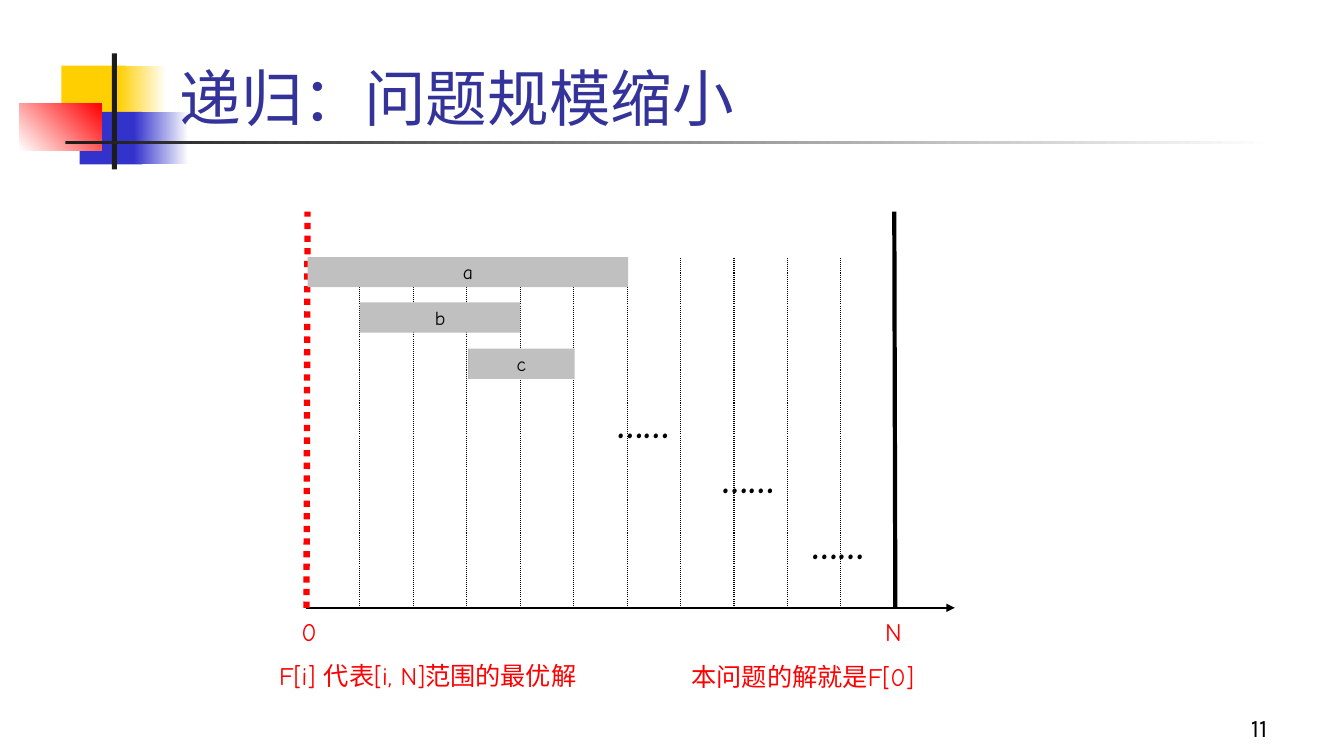
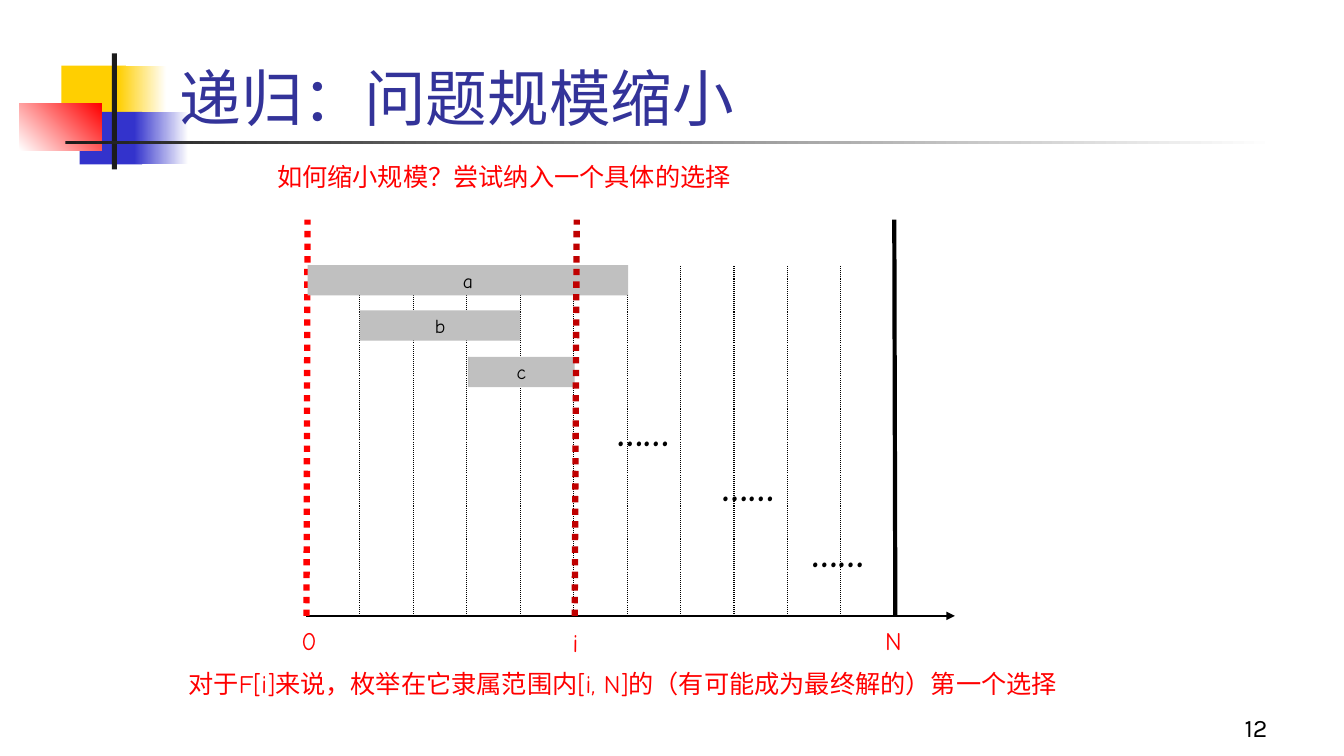
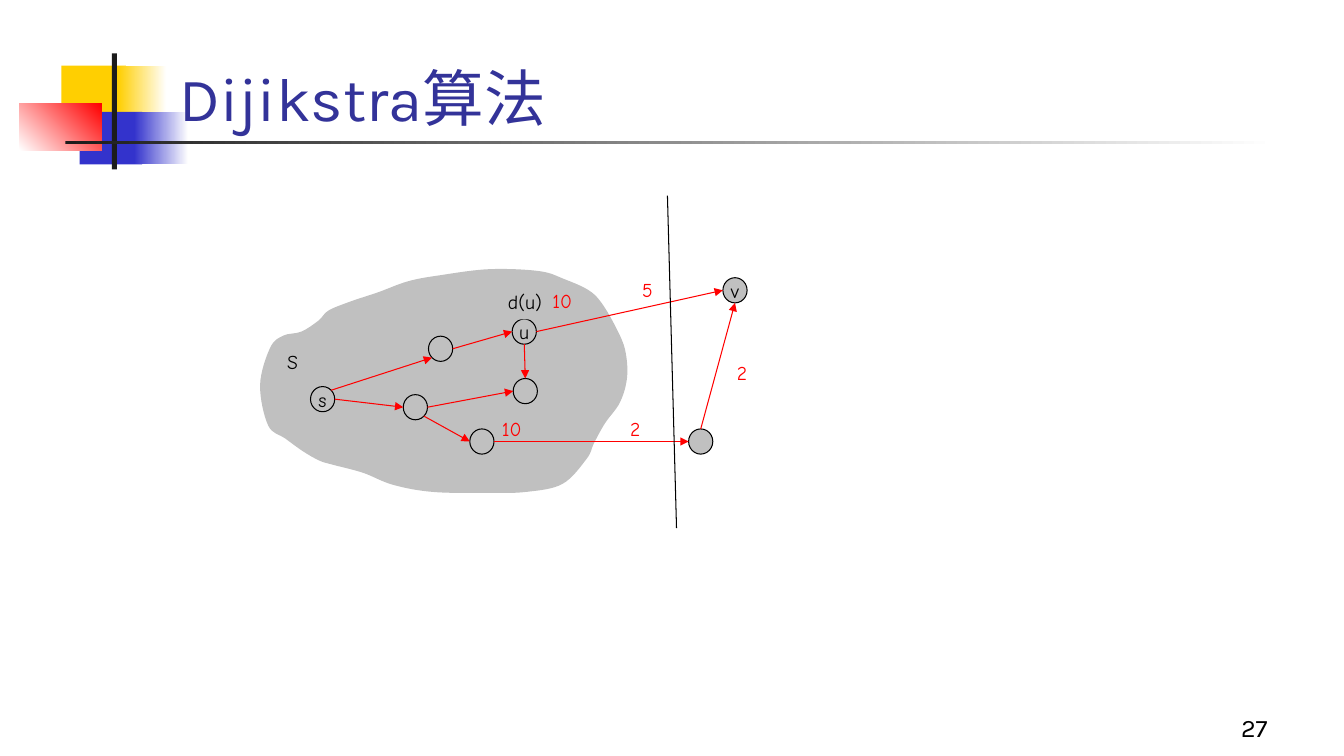
from dataclasses import dataclass
from math import cos, radians, sin

from pptx import Presentation
from pptx.dml.color import RGBColor
from pptx.enum.dml import MSO_LINE
from pptx.enum.shapes import MSO_CONNECTOR, MSO_SHAPE
from pptx.enum.text import MSO_ANCHOR, MSO_AUTO_SIZE, PP_ALIGN
from pptx.oxml.ns import qn
from pptx.util import Inches, Pt
from lxml.etree import SubElement


@dataclass(frozen=True)
class Theme:
    ink: str = "000000"
    white: str = "FFFFFF"
    dark: str = "1C1C1C"
    gold: str = "FFCF01"
    blue: str = "3333CC"
    navy: str = "333399"
    red: str = "FF0000"
    wine: str = "C00000"
    gray: str = "C0C0C0"
    head: str = "Karla"
    body: str = "Comic Neue"
    title: int = 44
    dots: int = 28
    note: int = 18
    label: int = 14
    thin: float = 0.75


T = Theme()

# Title band: left, top, width, height, colours, angle
BAND = [
    (0.61, 0.65, 0.64, 0.52, [T.gold], 0),
    (1.17, 0.65, 0.48, 0.52, [T.gold, T.white], 0),
    (0.79, 1.11, 0.62, 0.52, [T.blue], 0),
    (1.33, 1.11, 0.54, 0.52, [T.blue, T.white], 0),
    (0.19, 1.03, 0.82, 0.46, [T.white, T.red], 45),
    (1.11, 0.53, 0.05, 1.15, [T.dark], 0),
    (0.65, 1.4, 12, 0.03, [T.dark, T.white], 0),
]

# Outline of the set S, joined by a smooth curve
CLOUD = [
    (2.99, 3.29), (3.16, 3.18), (3.26, 3.08), (3.48, 2.99), (3.75, 2.9),
    (4.05, 2.79), (4.37, 2.73), (4.86, 2.67), (5.35, 2.69), (5.6, 2.77),
    (5.84, 2.88), (5.97, 3.01), (6.11, 3.25), (6.2, 3.47), (6.22, 3.74),
    (6.15, 3.99), (6, 4.2), (5.89, 4.4), (5.82, 4.55), (5.58, 4.8),
    (5.22, 4.88), (4.82, 4.89), (4.29, 4.88), (3.9, 4.81), (3.6, 4.69),
    (3.3, 4.61), (3.17, 4.57), (3.01, 4.48), (2.83, 4.35), (2.66, 4.22),
    (2.58, 3.82), (2.68, 3.45), (2.81, 3.33),
]

# Graph: centre and label of each node, then edges with their angles
NODES = {
    "s": (3.2, 3.96, "s"), "a": (4.12, 4.04, ""), "b": (4.37, 3.46, ""),
    "e": (5.21, 3.88, ""), "f": (4.78, 4.38, ""), "g": (6.95, 4.38, ""),
    "v": (7.29, 2.88, "v"), "u": (5.2, 3.29, "u"),
}
WIDE, TALL = 0.24, 0.25
EAST, SOUTH, WEST, NORTH = 0, 90, 180, 270
EDGES = [
    ("u", EAST, "v", WEST), ("f", EAST, "g", WEST), ("g", NORTH, "v", SOUTH),
    ("s", 315, "b", 135), ("s", EAST, "a", WEST), ("a", 45, "f", WEST),
    ("a", EAST, "e", WEST), ("u", SOUTH, "e", NORTH), ("b", EAST, "u", WEST),
]


def rgb(code):
    return RGBColor.from_string(code)


def box(*lengths):
    return [Inches(n) for n in lengths]


# Text
def put(frame, text, size, color=T.ink, font=T.body, align=PP_ALIGN.LEFT,
        bold=False):
    para = frame.paragraphs[0]
    para.alignment = align
    run = para.add_run()
    run.text = text
    run.font.size = Pt(size)
    run.font.name = font
    run.font.bold = bold
    run.font.color.rgb = rgb(color)


def note(slide, at, text, size=T.note, color=T.red, wrap=True, bold=False):
    frame = slide.shapes.add_textbox(*box(*at)).text_frame
    frame.word_wrap = wrap
    put(frame, text, size, color, bold=bold)


# Shapes and lines
def block(slide, at, fills, kind=MSO_SHAPE.RECTANGLE, text="", edge=None,
          angle=0, align=PP_ALIGN.CENTER, anchor=MSO_ANCHOR.MIDDLE):
    shape = slide.shapes.add_shape(kind, *box(*at))
    shape.shadow.inherit = False
    if len(fills) == 1:
        shape.fill.solid()
        shape.fill.fore_color.rgb = rgb(fills[0])
    else:
        shape.fill.gradient()
        shape.fill.gradient_angle = angle
        for stop, code in zip(shape.fill.gradient_stops, fills):
            stop.color.rgb = rgb(code)
    if edge:
        shape.line.color.rgb = rgb(edge)
        shape.line.width = Pt(T.thin)
    else:
        shape.line.fill.background()
    if text:
        frame = shape.text_frame
        frame.word_wrap = False
        frame.vertical_anchor = anchor
        put(frame, text, T.label, align=align)
    return shape


def line(slide, start, end, color=T.ink, width=T.thin, dots=False,
         arrow=False):
    link = slide.shapes.add_connector(
        MSO_CONNECTOR.STRAIGHT, *box(*start, *end))
    link.line.color.rgb = rgb(color)
    link.line.width = Pt(width)
    if dots:
        link.line.dash_style = MSO_LINE.ROUND_DOT
    props = link.element.spPr
    if arrow:
        SubElement(props.find(qn("a:ln")), qn("a:tailEnd"), type="triangle")
    SubElement(props, qn("a:effectLst"))


def bend(shape):
    """Turn the sides of a closed outline into smooth curves."""
    sides = list(shape.element.iter(qn("a:lnTo")))
    ends = [(int(pt.get("x")), int(pt.get("y")))
            for side in sides for pt in side]
    count = len(ends)
    for i, side in enumerate(sides):
        a, b, c, d = (ends[(i + k) % count] for k in (-2, -1, 0, 1))
        out = [q + (r - p) / 6 for p, q, r in zip(a, b, c)]
        into = [r - (s - q) / 6 for q, r, s in zip(b, c, d)]
        side.tag = qn("a:cubicBezTo")
        side.remove(side[0])
        for x, y in (out, into, c):
            SubElement(side, qn("a:pt"), x=str(round(x)), y=str(round(y)))


# Shared frame
def dress(layout, slide):
    """Put the title band on the layout, behind its title."""
    tree = layout.element.cSld.spTree
    for i, (*at, fills, angle) in enumerate(BAND):
        shape = block(slide, at, fills, angle=angle)
        shape.element.nvSpPr.cNvPr.id = 20 + i
        tree.insert(2 + i, shape.element)
    title = layout.placeholders[0]
    title.left, title.top, title.width, title.height = box(
        1.68, 0.13, 11.36, 1.25)


def start(slide, title, page):
    frame = slide.shapes.title.text_frame
    frame.auto_size = MSO_AUTO_SIZE.NONE
    frame.vertical_anchor = MSO_ANCHOR.BOTTOM
    put(frame, title, T.title, T.navy, T.head)
    foot = slide.shapes.add_textbox(*box(9.89, 6.92, 2.78, 0.5)).text_frame
    foot.word_wrap = True
    foot.vertical_anchor = MSO_ANCHOR.BOTTOM
    put(foot, page, T.note, font=T.head, align=PP_ALIGN.RIGHT)


# Interval chart standing on the given base line
def spans(slide, base):
    top = base - 3.48
    peak = base - 3.93
    line(slide, (3.04, base), (9.47, base), width=1, arrow=True)
    for i in range(11):
        x = 3.57 + 0.53 * i
        line(slide, (x, base), (x, top), dots=True)
    line(slide, (3.04, base), (3.05, peak), T.red, 4.5, dots=True)
    for name, left, drop, width in [
            ("a", 3.05, 0, 3.18), ("b", 3.57, 0.45, 1.59),
            ("c", 4.64, 0.91, 1.06)]:
        block(slide, (left, top + drop, width, 0.3), [T.gray], text=name)
    line(slide, (8.88, base), (8.87, peak), width=3)
    for name, left in [("N", 8.68), ("0", 2.89)]:
        note(slide, (left, base + 0.04, 0.41, 0.4), name)
    for left, rise in [(6.02, 2.12), (7.06, 1.57), (7.95, 0.92)]:
        note(slide, (left, base - rise, 0.72, 0.57), "……", T.dots, T.ink,
             wrap=False, bold=True)


# Graph with the finished set S
def spot(name, angle):
    x, y, _ = NODES[name]
    turn = radians(angle)
    return x + WIDE / 2 * cos(turn), y + TALL / 2 * sin(turn)


def graph(slide):
    first, *rest = [box(*point) for point in CLOUD]
    pen = slide.shapes.build_freeform(*first, scale=1.0)
    pen.add_line_segments(rest + [first], close=True)
    cloud = pen.convert_to_shape()
    bend(cloud)
    cloud.shadow.inherit = False
    cloud.fill.solid()
    cloud.fill.fore_color.rgb = rgb(T.gray)
    cloud.line.fill.background()
    for x, y, text in NODES.values():
        block(slide, (x - WIDE / 2, y - TALL / 2, WIDE, TALL), [T.gray],
              MSO_SHAPE.OVAL, text, T.ink)
    for tail, out, head, into in EDGES:
        line(slide, spot(tail, out), spot(head, into), T.red, arrow=True)
    for left, top, width, text in [
            (4.94, 2.83, 0.56, "d(u)"), (2.75, 3.42, 0.34, "S")]:
        block(slide, (left, top, width, 0.34), [T.gray], text=text,
              align=PP_ALIGN.LEFT, anchor=MSO_ANCHOR.TOP)
    for left, top, width, text in [
            (5.38, 2.82, 0.41, "10"), (4.88, 4.09, 0.41, "10"),
            (6.27, 2.71, 0.32, "5"), (6.15, 4.09, 0.32, "2"),
            (7.21, 3.53, 0.32, "2")]:
        note(slide, (left, top, width, 0.34), text, T.label, wrap=False)
    line(slide, (6.62, 1.94), (6.71, 5.24))


def main():
    deck = Presentation()
    deck.slide_width, deck.slide_height = box(13.33, 7.5)
    layout = deck.slide_layouts[5]
    whole, cut, web = [deck.slides.add_slide(layout) for _ in range(3)]
    dress(layout, whole)

    # The whole range
    start(whole, "递归：问题规模缩小", "11")
    spans(whole, 6.03)
    note(whole, (2.67, 6.5, 3.29, 0.4), "F[i] 代表[i, N]范围的最优解")
    note(whole, (6.76, 6.51, 2.52, 0.4), "本问题的解就是F[0]")

    # The range cut at i
    start(cut, "递归：问题规模缩小", "12")
    spans(cut, 6.11)
    note(cut, (2.65, 1.55, 4.7, 0.4), "如何缩小规模？尝试纳入一个具体的选择")
    note(cut, (1.77, 6.58, 9.04, 0.4),
         "对于F[i]来说，枚举在它隶属范围内[i, N]的（有可能成为最终解的）第一个选择")
    line(cut, (5.7, 6.11), (5.72, 2.18), T.wine, 4.5, dots=True)
    note(cut, (5.58, 6.17, 0.41, 0.4), "i")

    # Shortest paths
    start(web, "Dijikstra算法", "27")
    graph(web)

    deck.save("out.pptx")


if __name__ == "__main__":
    main()
